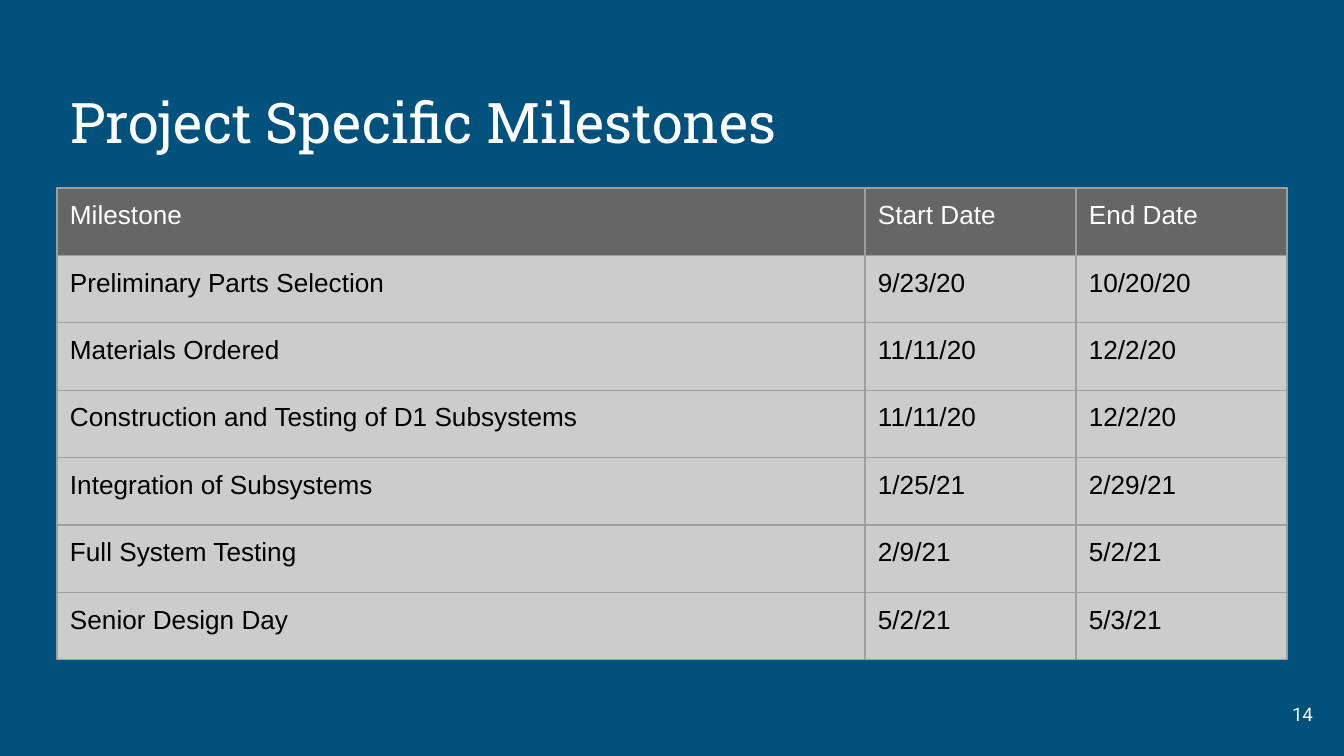
from lxml.etree import SubElement as Sub
from pptx import Presentation
from pptx.dml.color import RGBColor as RGB
from pptx.enum.text import MSO_ANCHOR as Anchor, MSO_AUTO_SIZE as Fit, PP_ALIGN as Align
from pptx.oxml.ns import qn
from pptx.util import Pt

WIDE, HIGH = 1344, 756
SCALE = 9144000 / WIDE
PAD = 13
HUES = {
    "back": "00517C",
    "head": "666666",
    "body": "CCCCCC",
    "rule": "9E9E9E",
    "light": "FFFFFF",
    "dark": "000000",
}
ROWS = [
    ("Milestone", "Start Date", "End Date"),
    ("Preliminary Parts Selection", "9/23/20", "10/20/20"),
    ("Materials Ordered", "11/11/20", "12/2/20"),
    ("Construction and Testing of D1 Subsystems", "11/11/20", "12/2/20"),
    ("Integration of Subsystems", "1/25/21", "2/29/21"),
    ("Full System Testing", "2/9/21", "5/2/21"),
    ("Senior Design Day", "5/2/21", "5/3/21"),
]


def px(n):
    return round(n * SCALE)


def hue(name):
    return RGB.from_string(HUES[name])


def pad(item):
    item.margin_left = item.margin_right = px(PAD)
    item.margin_top = item.margin_bottom = px(PAD)


def write(frame, text, face, size, tint, align=Align.LEFT):
    para = frame.paragraphs[0]
    para.alignment = align
    run = para.add_run()
    run.text = text
    run.font.name = face
    run.font.size = Pt(size)
    run.font.color.rgb = hue(tint)


def set_frame(frame, anchor):
    frame.word_wrap = True
    frame.auto_size = Fit.NONE
    frame.vertical_anchor = anchor
    pad(frame)


def add_title(slide, x, y, w, h):
    title = slide.shapes.title
    title.left, title.top, title.width, title.height = map(px, (x, y, w, h))
    set_frame(title.text_frame, Anchor.BOTTOM)
    write(title.text_frame, "Project Specific Milestones", "Roboto Slab", 30, "light")


def add_number(slide, x, y, w, h):
    box = slide.shapes.add_textbox(*map(px, (x, y, w, h)))
    set_frame(box.text_frame, Anchor.MIDDLE)
    write(box.text_frame, "14", "Roboto", 10, "light", Align.RIGHT)


def add_rules(cell):
    # Borders come before the fill in the cell properties
    props = cell._tc.get_or_add_tcPr()
    for i, side in enumerate(("lnL", "lnR", "lnT", "lnB")):
        line = Sub(props, qn(f"a:{side}"), w=str(Pt(0.75)))
        fill = Sub(line, qn("a:solidFill"))
        Sub(fill, qn("a:srgbClr"), val=HUES["rule"])
        props.insert(i, line)


def add_grid(slide, x, y, w, h):
    dates = 211
    widths = (w - 2 * dates, dates, dates)
    grid = slide.shapes.add_table(len(ROWS), len(widths), *map(px, (x, y, w, h))).table
    grid.first_row = grid.horz_banding = False
    for col, width in zip(grid.columns, widths):
        col.width = px(width)
    for r, row in enumerate(ROWS):
        grid.rows[r].height = px(h / len(ROWS))
        back, tint = ("body", "dark") if r else ("head", "light")
        for c, text in enumerate(row):
            cell = grid.cell(r, c)
            pad(cell)
            cell.fill.solid()
            cell.fill.fore_color.rgb = hue(back)
            add_rules(cell)
            write(cell.text_frame, text, "Arial", 14, tint)


def main():
    deck = Presentation()
    deck.slide_width, deck.slide_height = px(WIDE), px(HIGH)
    slide = deck.slides.add_slide(deck.slide_layouts[5])
    slide.background.fill.solid()
    slide.background.fill.fore_color.rgb = hue("back")

    # Title, page number and milestone table
    add_title(slide, 57, 67, 1230, 101)
    add_number(slide, 1246, 685, 80, 58)
    add_grid(slide, 57, 188, 1230, 472)
    deck.save("out.pptx")


if __name__ == "__main__":
    main()
